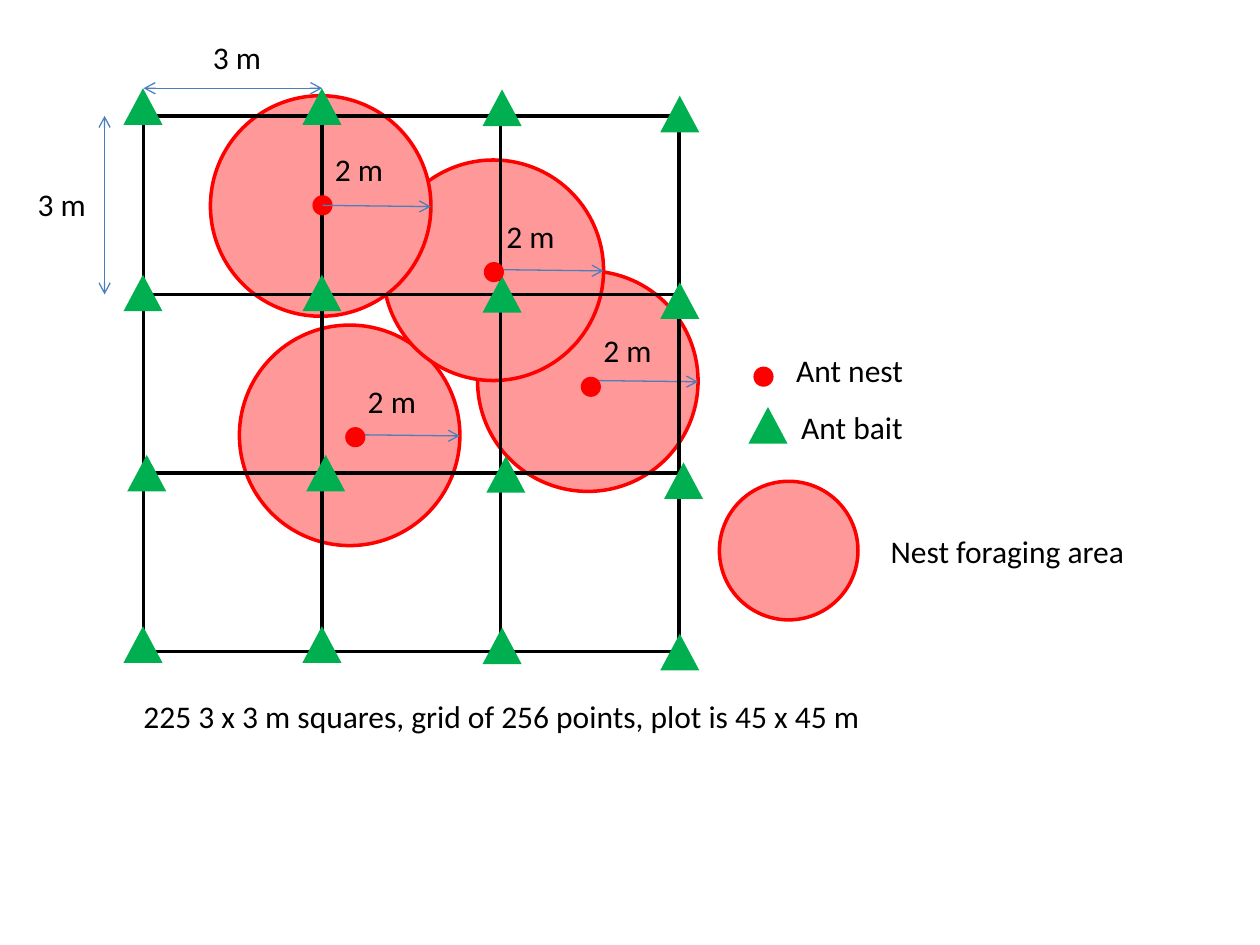
from itertools import product
from lxml.etree import SubElement
from pptx import Presentation
from pptx.dml.color import RGBColor
from pptx.enum.shapes import MSO_CONNECTOR as Link, MSO_SHAPE as Shape
from pptx.enum.text import MSO_AUTO_SIZE as Fit
from pptx.oxml.ns import qn
from pptx.util import Inches, Pt

COLORS = {
    "ink": "000000",
    "arrow": "4B7EBC",
    "area": "FF9999",
    "nest": "FF0000",
    "bait": "00B050",
}
FONT = {"name": "Calibri", "size": Pt(18)}
FRAME = {"word_wrap": False, "auto_size": Fit.SHAPE_TO_FIT_TEXT}
LEFT, TOP, CELL = 1.14, 0.92, 1.417
AREA, DOT = 1.75, 0.16
NESTS = [
    ((1.9, 2.58), (2.74, 3.39)),
    ((3.79, 2.15), (4.61, 2.99)),
    ((3.04, 1.27), (3.84, 2.08)),
    ((1.67, 0.76), (2.48, 1.55)),
]
BAIT_COLS = [(0.98, 0), (2.4, 0), (3.83, 0.01), (5.24, 0.06)]
BAIT_ROWS = [(0.7, 0), (2.18, 0), (3.61, 0.03), (4.97, 0)]


def color(key):
    return RGBColor.from_string(COLORS[key])


def apply(item, values):
    for name, value in values.items():
        setattr(item, name, value)


def add_form(slide, kind, x, y, w, h, fill=None, line=None):
    form = slide.shapes.add_shape(kind, Inches(x), Inches(y), Inches(w), Inches(h))
    form.shadow.inherit = False
    if fill:
        form.fill.solid()
        form.fill.fore_color.rgb = color(fill)
    else:
        form.fill.background()
    if line:
        form.line.color.rgb = color(line)
        form.line.width = Pt(2)
    else:
        form.line.fill.background()


def add_area(slide, x, y, size=AREA):
    add_form(slide, Shape.OVAL, x, y, size, size, "area", "nest")


def add_dot(slide, x, y):
    add_form(slide, Shape.OVAL, x, y, DOT, DOT, "nest")


def add_bait(slide, x, y):
    add_form(slide, Shape.ISOSCELES_TRIANGLE, x, y, 0.31, 0.29, "bait")


def add_arrow(slide, x1, y1, x2, y2, ends=("tailEnd",)):
    link = slide.shapes.add_connector(
        Link.STRAIGHT, Inches(x1), Inches(y1), Inches(x2), Inches(y2))
    link.line.color.rgb = color("arrow")
    link.line.width = Pt(0.75)
    props = link.element.spPr
    for end in ends:
        SubElement(props.find(qn("a:ln")), qn(f"a:{end}"), type="arrow")
    SubElement(props, qn("a:effectLst"))


def add_reach(slide, x, y):
    add_arrow(slide, x + 0.89, y + 0.87, x + AREA, y + 0.88)


def add_label(slide, text, x, y, w=0.59):
    box = slide.shapes.add_textbox(Inches(x), Inches(y), Inches(w), Inches(0.4))
    apply(box.text_frame, FRAME)
    run = box.text_frame.paragraphs[0].add_run()
    run.text = text
    apply(run.font, FONT)
    run.font.color.rgb = color("ink")


def add_radius(slide, x, y):
    add_label(slide, "2 m", x + 0.08, y - 0.41)


def add_grid(slide):
    for row, col in product(range(3), repeat=2):
        add_form(slide, Shape.RECTANGLE, LEFT + col * CELL, TOP + row * CELL,
                 CELL, CELL, line="ink")


def add_scale(slide):
    both = ("headEnd", "tailEnd")
    add_arrow(slide, LEFT, 0.7, LEFT + CELL, 0.7, both)
    add_arrow(slide, 0.83, TOP + CELL, 0.83, TOP, both)
    add_label(slide, "3 m", 1.59, 0.25)
    add_label(slide, "3 m", 0.2, 1.42)


def add_key(slide):
    add_dot(slide, 5.98, 2.91)
    add_label(slide, "Ant nest", 6.22, 2.74, 1.06)
    add_bait(slide, 5.94, 3.23)
    add_label(slide, "Ant bait", 6.26, 3.19, 1.02)
    add_area(slide, 5.71, 3.82, 1.1)
    add_label(slide, "Nest foraging area", 6.97, 4.17, 2.08)


def main():
    deck = Presentation()
    apply(deck, {"slide_width": Inches(10), "slide_height": Inches(7.5)})
    slide = deck.slides.add_slide(deck.slide_layouts[6])
    *lower, (area, dot) = NESTS
    for spot, _ in lower:
        add_area(slide, *spot)
        add_reach(slide, *spot)
    add_area(slide, *area)
    add_grid(slide)
    add_scale(slide)
    add_dot(slide, *dot)
    add_reach(slide, *area)
    add_radius(slide, *dot)
    for (y, shift), (x, drop) in product(BAIT_ROWS, BAIT_COLS):
        add_bait(slide, x + shift, y + drop)
    for _, spot in lower:
        add_dot(slide, *spot)
        add_radius(slide, *spot)
    add_key(slide)
    add_label(slide, "225 3 x 3 m squares, grid of 256 points, plot is 45 x 45 m",
              1.04, 5.48, 5.96)
    deck.save("out.pptx")


if __name__ == "__main__":
    main()
